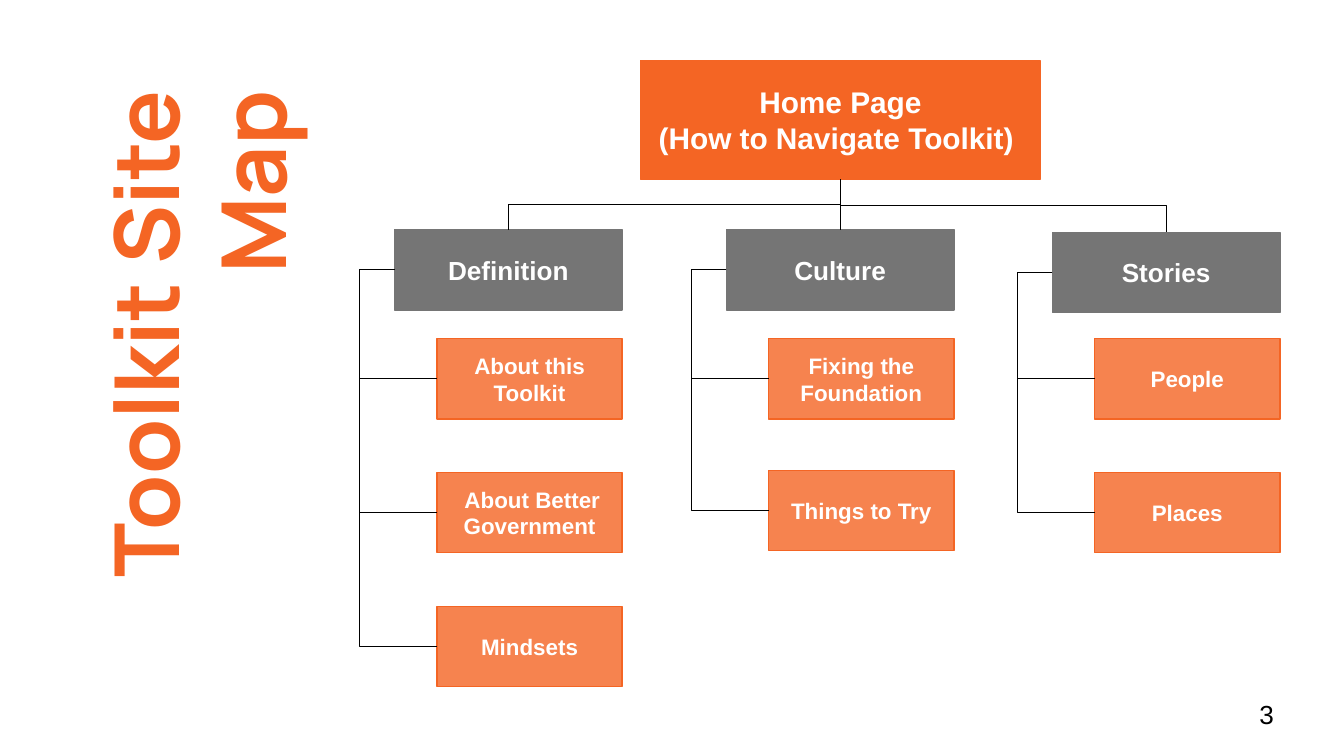
"""Build the toolkit site map slide."""
import pptx
import pptx.util
import pptx.dml.color
import pptx.enum.shapes
import pptx.enum.text
import pptx.oxml
import pptx.oxml.ns

Cm = pptx.util.Cm
Pt = pptx.util.Pt
qn = pptx.oxml.ns.qn
ALIGN = pptx.enum.text.PP_ALIGN
ANCHOR = pptx.enum.text.MSO_ANCHOR
HUES = {"main": "F46524", "gray": "757575", "white": "FFFFFF", "black": "000000"}


class Chart:
    def __init__(self, deck):
        self.deck = deck
        self.slide = deck.slides.add_slide(deck.slide_layouts[5])
        self.frame = {"word_wrap": True, "auto_size": pptx.enum.text.MSO_AUTO_SIZE.NONE}
        for side in ("left", "right", "top", "bottom"):
            self.frame["margin_" + side] = Cm(0.25)

    def put(self, item, **vals):
        for name, val in vals.items():
            setattr(item, name, val)

    def hue(self, name):
        return pptx.dml.color.RGBColor.from_string(HUES[name])

    def fill_text(self, shape, text, size, hue="white", font="Arial", bold=True,
                  align=ALIGN.CENTER, anchor=ANCHOR.MIDDLE):
        frame = shape.text_frame
        self.put(frame, text=text, vertical_anchor=anchor, **self.frame)
        for para in frame.paragraphs:
            para.alignment = align
            for run in para.runs:
                self.put(run.font, name=font, size=Pt(size), bold=bold)
                run.font.color.rgb = self.hue(hue)

    def title(self, text, left, top, wide, high):
        shape = self.slide.shapes.title
        self.put(shape, left=Cm(left), top=Cm(top), width=Cm(wide),
                 height=Cm(high), rotation=270)
        self.fill_text(shape, text, 48, "main", "Manrope",
                       align=ALIGN.RIGHT, anchor=ANCHOR.BOTTOM)

    def label(self, text, left, top, wide, high):
        shape = self.slide.shapes.add_textbox(Cm(left), Cm(top), Cm(wide), Cm(high))
        self.fill_text(shape, text, 14, "black", bold=False, align=ALIGN.LEFT)

    def box(self, text, left, top, wide, high, size, hue="main", alpha=None):
        shape = self.slide.shapes.add_shape(
            pptx.enum.shapes.MSO_SHAPE.RECTANGLE, Cm(left), Cm(top), Cm(wide), Cm(high))
        shape.shadow.inherit = False
        shape.fill.solid()
        shape.fill.fore_color.rgb = self.hue(hue)
        shape.line.color.rgb = self.hue(hue)
        shape.line.width = Pt(0.75)
        if alpha:
            tint = shape.element.spPr.find(qn("a:solidFill"))[0]
            tint.append(pptx.oxml.parse_xml(
                f'<a:alpha {pptx.oxml.ns.nsdecls("a")} val="{alpha * 1000}"/>'))
        self.fill_text(shape, text, size)
        return shape

    def link(self, start, end, from_side, to_side):
        line = self.slide.shapes.add_connector(
            pptx.enum.shapes.MSO_CONNECTOR.ELBOW, 0, 0, 0, 0)
        line.begin_connect(start, from_side)
        line.end_connect(end, to_side)
        line.line.color.rgb = self.hue("black")
        line.line.width = Pt(0.75)
        line.element.spPr.append(pptx.oxml.parse_xml(
            f'<a:effectLst {pptx.oxml.ns.nsdecls("a")}/>'))
        return line

    def drop(self, start, end):
        line = self.link(start, end, 2, 0)
        x, y = line.begin_x, line.begin_y
        run, fall = line.end_x - x, line.end_y - y
        form = line.element.spPr.find(qn("a:xfrm"))
        for name in ("flipH", "flipV"):
            form.attrib.pop(name, None)
        if run < 0:
            form.set("rot", "5400000")
        else:
            form.set("rot", "16200000")
            form.set("flipH", "1")
        self.put(line, left=x + (run - fall) // 2, top=y + (fall - abs(run)) // 2,
                 width=fall, height=abs(run))

    def branch(self, start, end):
        line = self.link(start, end, 1, 1)
        geom = line.element.spPr.find(qn("a:prstGeom"))
        for old in list(geom):
            geom.remove(old)
        geom.append(pptx.oxml.parse_xml(
            f'<a:avLst {pptx.oxml.ns.nsdecls("a")}>'
            '<a:gd name="adj1" fmla="val -82700"/></a:avLst>'))


def main():
    deck = pptx.Presentation()
    deck.slide_width, deck.slide_height = Cm(25.4), Cm(14.29)
    chart = Chart(deck)
    chart.title("Toolkit Site Map", -1.73, 5, 11.28, 4.19)
    home = chart.box("Home Page\n(How to Navigate Toolkit) ", 12.11, 1.14, 7.55, 2.25, 16)

    wide, high, dent = 4.3, 1.52, 0.8
    groups = [
        ("Definition", 7.46, 4.34, 2.53,
         ["About this Toolkit", " About Better Government", "Mindsets"]),
        ("Culture", 13.73, 4.34, 2.49, ["Fixing the Foundation", "Things to Try"]),
        ("Stories", 19.89, 4.39, 2.53, ["People", "Places"]),
    ]
    for name, left, top, step, pages in groups:
        head = chart.box(name, left, top, wide, high, 14, "gray")
        chart.drop(home, head)
        for row, page in enumerate(pages):
            leaf = chart.box(page, left + dent, 6.4 + row * step,
                             wide - dent, high, 12, alpha=80)
            chart.branch(head, leaf)

    chart.label("3", 23.55, 12.95, 1.52, 1.09)
    deck.save("out.pptx")


if __name__ == "__main__":
    main()
